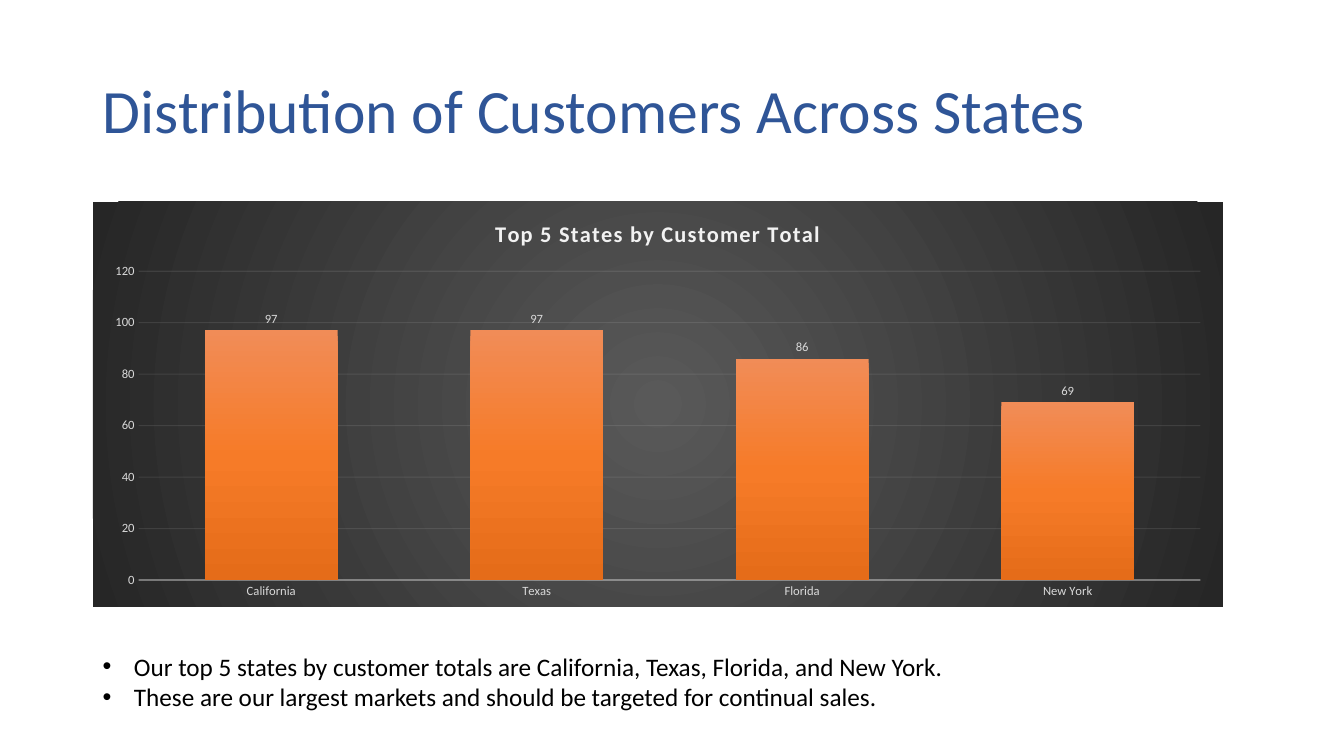
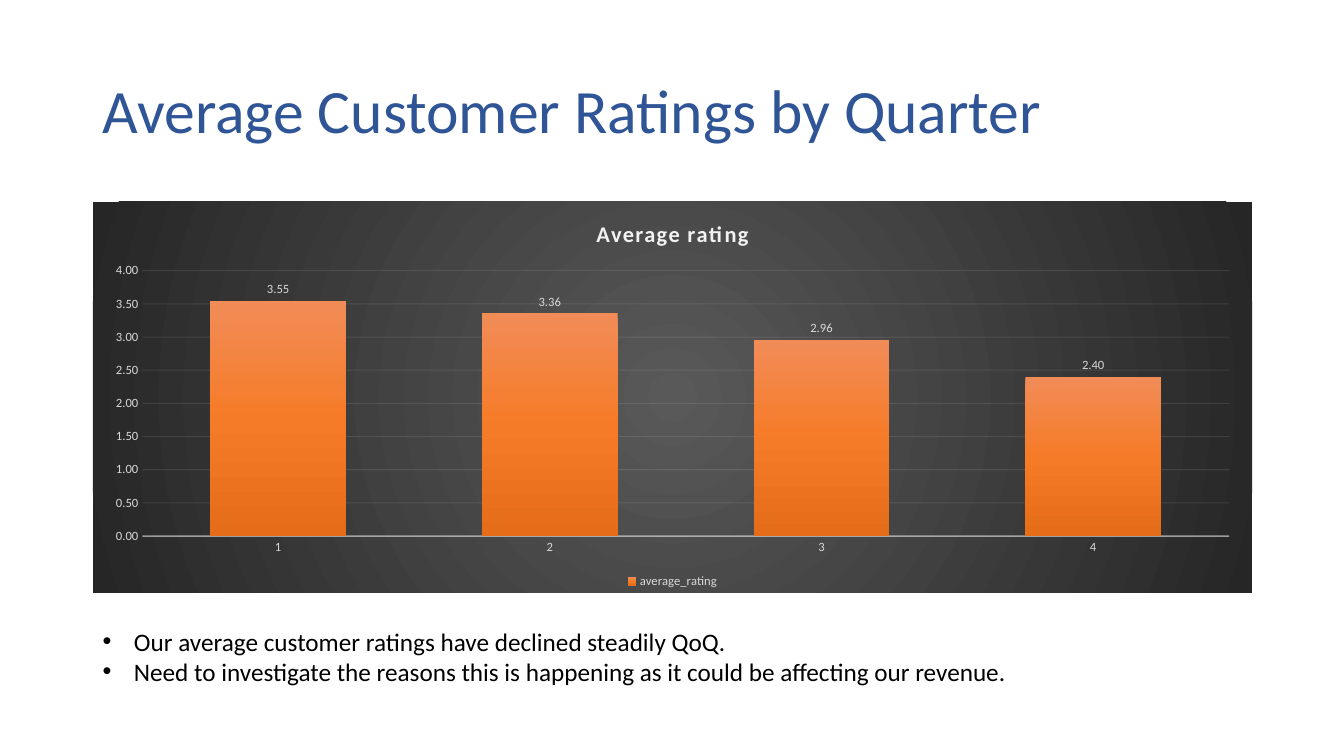
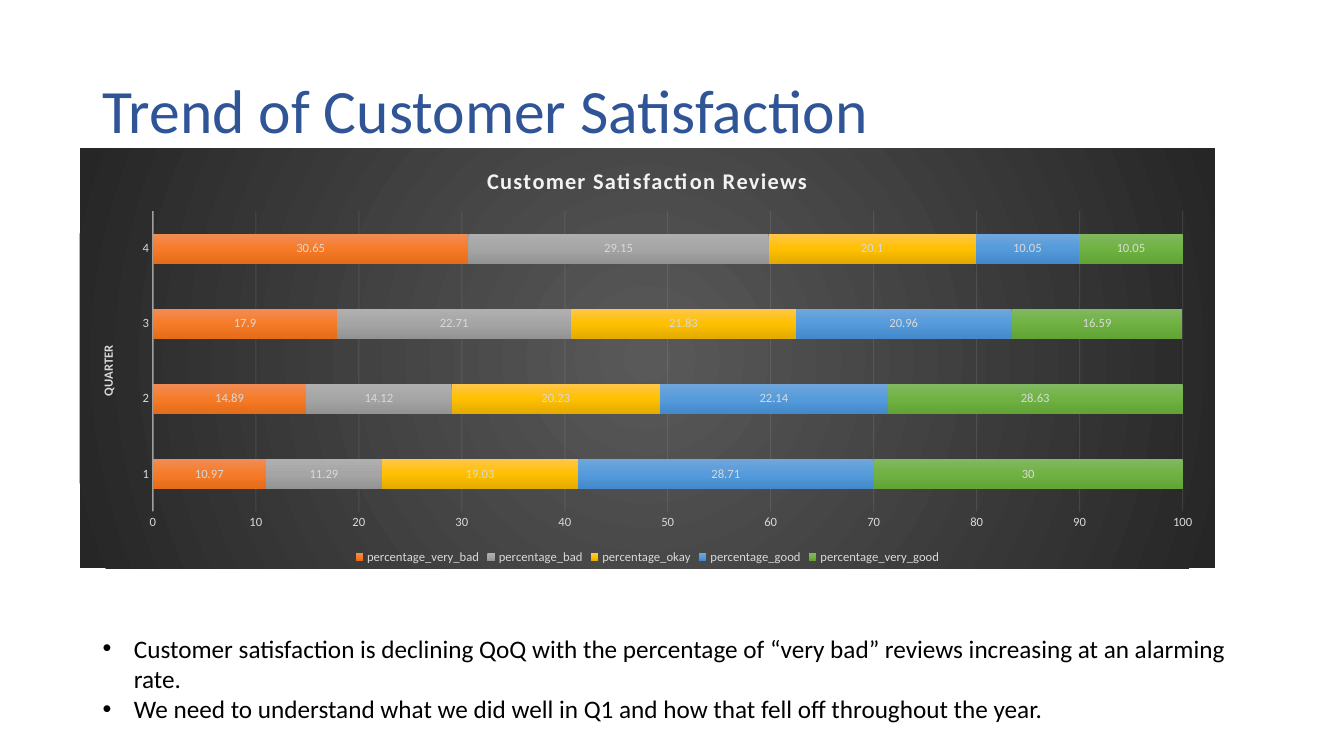
from lxml import etree
from pptx import Presentation
from pptx.chart.data import CategoryChartData
from pptx.dml.color import RGBColor
from pptx.enum.chart import XL_CHART_TYPE as ChartType
from pptx.enum.chart import XL_LABEL_POSITION as LabelPosition
from pptx.enum.chart import XL_LEGEND_POSITION as LegendPosition
from pptx.enum.chart import XL_TICK_MARK as TickMark
from pptx.enum.text import MSO_ANCHOR as Anchor
from pptx.oxml import parse_xml
from pptx.oxml.ns import nsdecls, qn
from pptx.util import Inches, Pt

FONT = "Calibri"
TITLE_BLUE, BLACK, LIGHT, PALE = "2F5597", "000000", "D9D9D9", "F2F2F2"
BACKDROP = ("595959", "262626")
ORANGE = ("F18C57", "F67B28", "E56C19")
GRAY = ("AFAFAF", "A5A5A5", "939393")
GOLD = ("FFC64B", "FFC000", "E3AB00")
BLUE = ("71A6DB", "559BDB", "448ACA")
GREEN = ("81B861", "6FB242", "62A336")
TITLE_BOX = (0.92, 0.4, 11.5, 1.45)
QUARTERS = ("1", "2", "3", "4")


def color(value):
    return RGBColor.from_string(value)


def style_font(font, size, fill, bold=False):
    font.name, font.size, font.bold = FONT, Pt(size), bold
    font.color.rgb = color(fill)


def write_text(para, text, size=18, fill=BLACK, bold=False, spacing=None):
    span = para.add_run()
    span.text = text
    style_font(span.font, size, fill, bold)
    if spacing:
        span.font._element.set("spc", str(spacing))


def gradient(colors, direction):
    step = 100000 // (len(colors) - 1)
    stops = "".join(
        f'<a:gs pos="{index * step}"><a:srgbClr val="{value}"/></a:gs>'
        for index, value in enumerate(colors)
    )
    return f"<a:gradFill {nsdecls('a')}><a:gsLst>{stops}</a:gsLst>{direction}</a:gradFill>"


def add_text_box(page, box):
    frame = page.shapes.add_textbox(*map(Inches, box)).text_frame
    frame.word_wrap = True
    return frame


def add_title(page, text):
    frame = add_text_box(page, TITLE_BOX)
    frame.vertical_anchor = Anchor.MIDDLE
    para = frame.paragraphs[0]
    para.line_spacing = 0.9
    write_text(para, text, size=44, fill=TITLE_BLUE)


def add_bullets(page, box, lines):
    frame = add_text_box(page, box)
    for index, line in enumerate(lines):
        para = frame.add_paragraph() if index else frame.paragraphs[0]
        write_text(para, line)
        props = para._p.get_or_add_pPr()
        props.set("marL", str(Inches(0.31)))
        props.set("indent", str(-Inches(0.31)))
        etree.SubElement(props, qn("a:buFont")).set("typeface", "Arial")
        etree.SubElement(props, qn("a:buChar")).set("char", "•")


def style_line(line, width):
    line.width = Pt(width)
    line.color.rgb = color(PALE)


def set_opacity(chart, query, percent):
    for tint in chart.element.xpath(query):
        etree.SubElement(tint, qn("a:alpha")).set("val", str(percent * 1000))


def style_axes(chart, number_format, maximum):
    category, value = chart.category_axis, chart.value_axis
    for axis in (category, value):
        axis.major_tick_mark = axis.minor_tick_mark = TickMark.NONE
        style_font(axis.tick_labels.font, 9, LIGHT)
    category.has_major_gridlines = False
    value.has_major_gridlines = True
    style_line(category.format.line, 1)
    style_line(value.major_gridlines.format.line, 0.75)
    value.format.line.fill.background()
    value.tick_labels.number_format = number_format
    value.tick_labels.number_format_is_linked = False
    if maximum:
        value.maximum_scale = maximum
    set_opacity(chart, "//c:catAx/c:spPr//a:srgbClr", 54)
    set_opacity(chart, "//c:valAx/c:majorGridlines//a:srgbClr", 10)


def style_series(series, colors, number_format, position):
    series.format.fill.solid()
    solid = series._element.xpath("c:spPr/a:solidFill")[0]
    shade = parse_xml(gradient(colors, '<a:lin ang="5400000" scaled="0"/>'))
    solid.getparent().replace(solid, shade)
    series.invert_if_negative = False
    labels = series.data_labels
    labels.show_value = True
    labels.number_format = number_format
    labels.number_format_is_linked = False
    labels.position = position
    style_font(labels.font, 9, LIGHT)


def add_backdrop(chart):
    direction = (
        '<a:path path="circle">'
        '<a:fillToRect l="50000" t="50000" r="50000" b="50000"/></a:path>'
    )
    props = parse_xml(
        f"<c:spPr {nsdecls('c', 'a')}>{gradient(BACKDROP, direction)}"
        "<a:ln><a:noFill/></a:ln></c:spPr>"
    )
    chart.element.xpath("c:chart")[0].addnext(props)


def add_chart(page, box, title, categories, rows, stacked=False, legend=True,
              number_format="General", maximum=None, axis_title=None):
    data = CategoryChartData()
    data.categories = categories
    for name, values, _ in rows:
        data.add_series(name, values)
    kind = ChartType.BAR_STACKED if stacked else ChartType.COLUMN_CLUSTERED
    chart = page.shapes.add_chart(kind, *map(Inches, box), data).chart
    style_font(chart.font, 10, BLACK)
    add_backdrop(chart)
    chart.has_title = True
    write_text(chart.chart_title.text_frame.paragraphs[0], title,
               size=16, fill=PALE, bold=True, spacing=100)
    chart.chart_title.include_in_layout = False
    chart.has_legend = legend
    if legend:
        chart.legend.position = LegendPosition.BOTTOM
        chart.legend.include_in_layout = False
        style_font(chart.legend.font, 9, LIGHT)
    style_axes(chart, number_format, maximum)
    if axis_title:
        write_text(chart.category_axis.axis_title.text_frame.paragraphs[0],
                   axis_title, size=9, fill=LIGHT, bold=True)
    plot = chart.plots[0]
    plot.vary_by_categories = False
    plot.gap_width, plot.overlap = (150, 100) if stacked else (100, -24)
    position = LabelPosition.CENTER if stacked else LabelPosition.OUTSIDE_END
    for series, (_, _, colors) in zip(plot.series, rows):
        style_series(series, colors, number_format, position)


def add_chart_page(deck, title, chart_box, chart, bullet_box, bullets):
    page = deck.slides.add_slide(deck.slide_layouts[6])
    add_title(page, title)
    add_chart(page, chart_box, **chart)
    add_bullets(page, bullet_box, bullets)


def main():
    deck = Presentation()
    deck.slide_width, deck.slide_height = Inches(13.33), Inches(7.5)
    add_chart_page(
        deck, "Distribution of Customers Across States",
        (0.92, 2, 11.21, 4.02),
        dict(
            title="Top 5 States by Customer Total",
            categories=("California", "Texas", "Florida", "New York"),
            rows=[("Series 1", (97, 97, 86, 69), ORANGE)],
            legend=False,
        ),
        (0.92, 6.41, 11.21, 0.71),
        ("Our top 5 states by customer totals are California, Texas, Florida, and New York.",
         "These are our largest markets and should be targeted for continual sales."),
    )
    add_chart_page(
        deck, "Average Customer Ratings by Quarter",
        (0.92, 2, 11.5, 3.88),
        dict(
            title="Average rating",
            categories=QUARTERS,
            rows=[("average_rating", (3.55, 3.36, 2.96, 2.4), ORANGE)],
            number_format="0.00",
        ),
        (0.92, 6.16, 11.5, 0.71),
        ("Our average customer ratings have declined steadily QoQ.",
         "Need to investigate the reasons this is happening as it could be affecting our revenue."),
    )
    add_chart_page(
        deck, "Trend of Customer Satisfaction",
        (0.79, 1.47, 11.26, 4.17),
        dict(
            title="Customer Satisfaction Reviews",
            categories=QUARTERS,
            rows=[
                ("percentage_very_bad", (10.97, 14.89, 17.9, 30.65), ORANGE),
                ("percentage_bad", (11.29, 14.12, 22.71, 29.15), GRAY),
                ("percentage_okay", (19.03, 20.23, 21.83, 20.1), GOLD),
                ("percentage_good", (28.71, 22.14, 20.96, 10.05), BLUE),
                ("percentage_very_good", (30, 28.63, 16.59, 10.05), GREEN),
            ],
            stacked=True, maximum=100, axis_title="QUARTER",
        ),
        (0.92, 6.23, 11.5, 1.01),
        ("Customer satisfaction is declining QoQ with the percentage of “very bad” reviews "
         "increasing at an alarming rate.",
         "We need to understand what we did well in Q1 and how that fell off throughout the year."),
    )
    deck.save("out.pptx")


if __name__ == "__main__":
    main()
